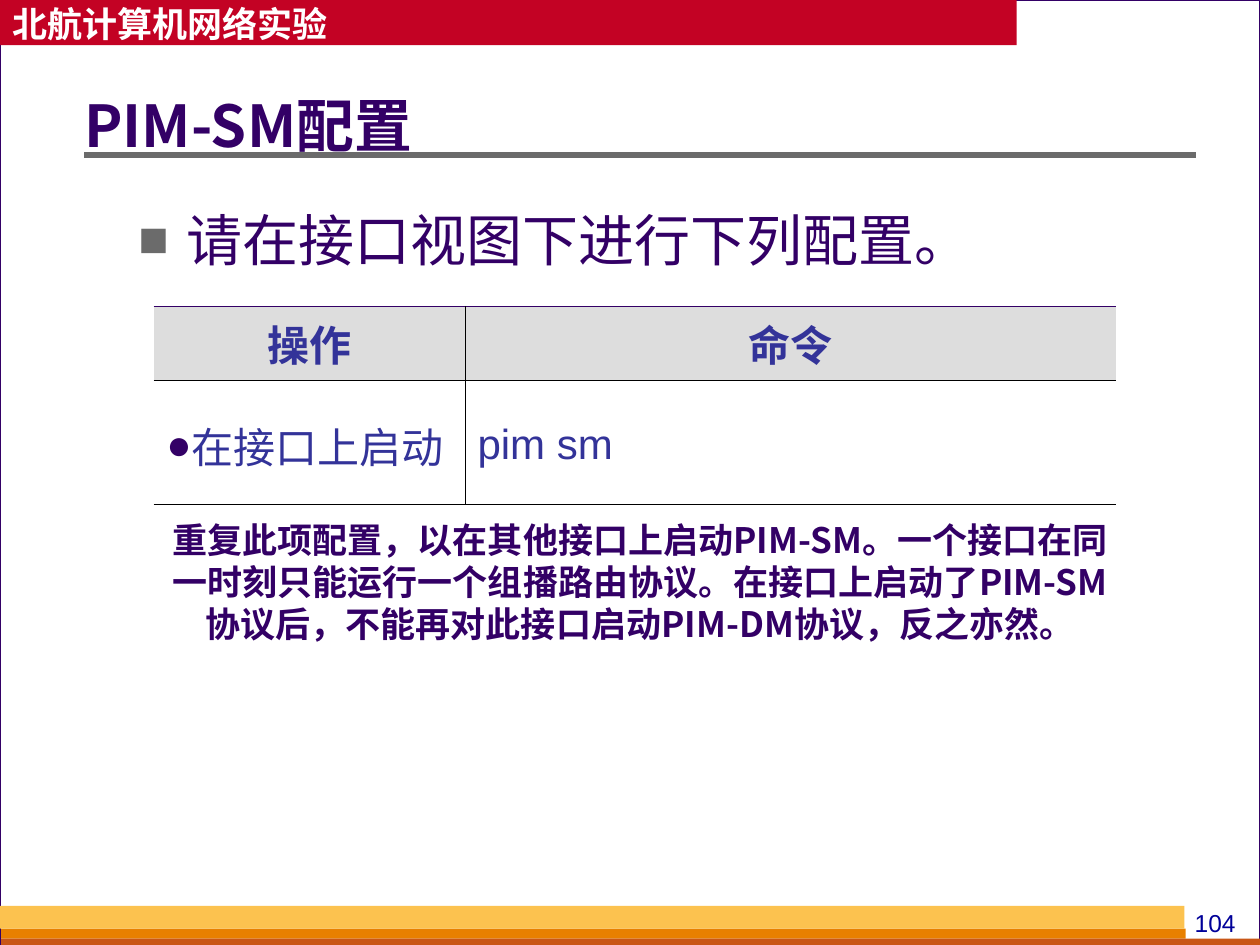
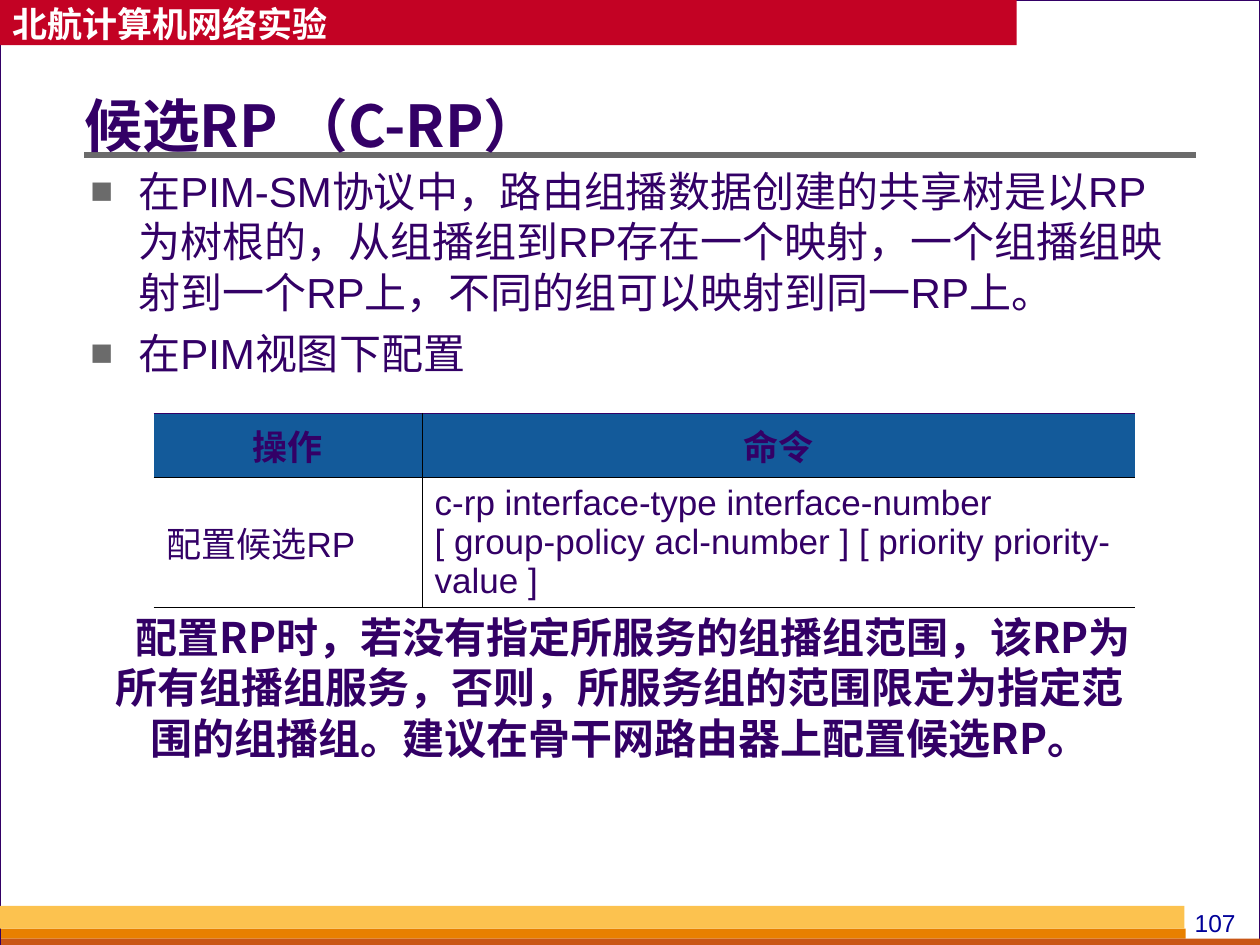
from dataclasses import dataclass

from lxml.etree import SubElement
from pptx import Presentation
from pptx.dml.color import RGBColor
from pptx.enum.shapes import MSO_CONNECTOR, MSO_SHAPE
from pptx.enum.text import MSO_ANCHOR, MSO_AUTO_SIZE, PP_ALIGN
from pptx.oxml.ns import qn
from pptx.util import Emu, Inches, Pt

# Shared look
HEX = {
    "ink": "330066", "white": "FFFFFF", "back": "D8DADA", "red": "C30224",
    "orange": "E88000", "rust": "C95616", "gold": "FCC24F", "gray": "6B6B6B",
    "page": "000099", "blue": "333399", "pale": "DDDDDD", "deep": "135A9A",
    "black": "000000",
}
LATIN, HAN = "Arial", "Noto Sans CJK SC"
COLS, ROWS = 100, 75  # slide grid
WIDE, HIGH = Inches(10), Inches(7.5)
PITCH = 1.2  # line height per point of type
DROP = 0.1   # baseline drop per point of type


@dataclass
class Box:
    col: float
    row: float
    wide: float
    high: float

    def place(self) -> tuple:
        return (across(self.col), down(self.row),
                across(self.wide), down(self.high))

    def lower(self, size: float) -> "Box":
        """Drop the box by the share of the type size that centres its text."""
        step = Pt(size * DROP) / HIGH * ROWS
        return Box(self.col, self.row + step, self.wide, self.high)


@dataclass
class Type:
    size: float
    color: str = "ink"
    font: str = LATIN
    bold: bool = False


@dataclass
class Mark:
    char: str
    color: str
    share: int = 100
    hang: float = 0


@dataclass
class Grid:
    box: Box
    split: list[float]
    rows: list[float]
    cells: list[list[str]]
    head: Type
    fill: str
    space: float = 1.0
    mark: Mark | None = None


@dataclass
class Page:
    title: str
    number: str
    points: list[str]
    area: Box
    size: float
    gap: float
    grid: Grid
    note: str
    foot: Box
    bold: float
    indent: float = 0


@dataclass
class Band:
    box: Box
    color: str


FRAME = Band(Box(0, 0, 100, 75), "white")
HEAD = Band(Box(0, 0, 80.7, 3.6), "red")
FEET = [
    Band(Box(0.1, 73.7, 94, 0.8), "orange"),
    Band(Box(0.1, 74.5, 99.9, 0.5), "rust"),
    Band(Box(0, 71.9, 94, 1.8), "gold"),
]
SQUARE = Mark("■", "gray", 90, 0.38)
DOT = Mark("●", "ink")


def across(cols: float) -> Emu:
    return Emu(round(WIDE * cols / COLS))


def down(rows: float) -> Emu:
    return Emu(round(HIGH * rows / ROWS))


def tint(name: str) -> RGBColor:
    return RGBColor.from_string(HEX[name])


# Text
def write(para, text: str, kind: Type, align=PP_ALIGN.LEFT) -> None:
    para.alignment = align
    run = para.add_run()
    run.text = text
    font = run.font
    font.size, font.bold, font.name = Pt(kind.size), kind.bold, kind.font
    font.color.rgb = tint(kind.color)
    SubElement(run._r.get_or_add_rPr(), qn("a:ea"), typeface=HAN)


def bullet(para, mark: Mark) -> None:
    props = para._p.get_or_add_pPr()
    hang = Inches(mark.hang)
    props.set("marL", str(hang))
    props.set("indent", str(-hang))
    color = SubElement(props, qn("a:buClr"))
    SubElement(color, qn("a:srgbClr"), val=HEX[mark.color])
    SubElement(props, qn("a:buSzPct"), val=str(mark.share * 1000))
    SubElement(props, qn("a:buFont"), typeface=LATIN)
    SubElement(props, qn("a:buChar"), char=mark.char)


def setup(frame, anchor=MSO_ANCHOR.TOP, left: float = 0.1,
          top: float = 0.05, base: float = 0.05):
    frame.word_wrap = True
    frame.auto_size = MSO_AUTO_SIZE.NONE
    frame.vertical_anchor = anchor
    frame.margin_left, frame.margin_right = Inches(left), Inches(0.1)
    frame.margin_top, frame.margin_bottom = Inches(top), Inches(base)
    return frame


# Shared parts of every slide
def draw(slide, band: Band, line: str = ""):
    shape = slide.shapes.add_shape(MSO_SHAPE.RECTANGLE, *band.box.place())
    shape.shadow.inherit = False
    shape.fill.solid()
    shape.fill.fore_color.rgb = tint(band.color)
    if line:
        shape.line.color.rgb = tint(line)
        shape.line.width = Pt(0.75)
    else:
        shape.line.fill.background()
    return shape


def base(slide, number: str) -> None:
    slide.background.fill.solid()
    slide.background.fill.fore_color.rgb = tint("back")
    draw(slide, FRAME, "ink")
    head = draw(slide, HEAD)
    frame = setup(head.text_frame, MSO_ANCHOR.MIDDLE, top=0.02, base=0)
    para = frame.paragraphs[0]
    para.line_spacing = Pt(20 * PITCH)
    write(para, "北航计算机网络实验", Type(20, "white", HAN, True))
    for band in FEET:
        draw(slide, band)
    spot = slide.shapes.add_textbox(*Box(93.3, 71.6, 6.3, 3.4).place())
    write(setup(spot.text_frame).paragraphs[0], number,
          Type(14, "page"), PP_ALIGN.CENTER)
    rule = slide.shapes.add_connector(
        MSO_CONNECTOR.STRAIGHT, across(6.7), down(12.3),
        across(94.9), down(12.3))
    rule.line.color.rgb = tint("gray")
    rule.line.width = Pt(3)
    SubElement(rule._element.spPr, qn("a:effectLst"))


def name(slide, text: str) -> None:
    kind = Type(33, font=HAN, bold=True)
    title = slide.shapes.title
    slide.shapes._spTree.append(title._element)  # bring above the frame
    box = Box(6.7, 4.6, 88.2, 10.1).lower(kind.size)
    title.left, title.top, title.width, title.height = box.place()
    para = setup(title.text_frame, MSO_ANCHOR.MIDDLE, left=0).paragraphs[0]
    para.line_spacing = Pt(round(kind.size * PITCH * 0.9))
    write(para, text, kind)


# Slide content
def points(slide, page: Page) -> None:
    box = page.area.lower(page.size)
    frame = setup(slide.shapes.add_textbox(*box.place()).text_frame)
    for i, text in enumerate(page.points):
        para = frame.add_paragraph() if i else frame.paragraphs[0]
        bullet(para, SQUARE)
        para.line_spacing = Pt(page.size * PITCH)
        if i:
            para.space_before = Pt(page.gap)
        write(para, text, Type(page.size))


def edges(cell, sides: dict[str, str]) -> None:
    props = cell._tc.get_or_add_tcPr()
    for i, side in enumerate("LRTB"):
        line = SubElement(props, qn(f"a:ln{side}"), w=str(Pt(0.45)))
        props.insert(i, line)
        if side in sides:
            fill = SubElement(line, qn("a:solidFill"))
            SubElement(fill, qn("a:srgbClr"), val=HEX[sides[side]])
        else:
            SubElement(line, qn("a:noFill"))


def table(slide, grid: Grid) -> None:
    body = Type(grid.head.size, grid.head.color)
    made = slide.shapes.add_table(2, 2, *grid.box.place()).table
    made.first_row = made.horz_banding = False
    for i, wide in enumerate(grid.split):
        made.columns[i].width = across(wide)
    for r, texts in enumerate(grid.cells):
        made.rows[r].height = down(grid.rows[r])
        for c, text in enumerate(texts):
            cell = made.cell(r, c)
            cell.vertical_anchor = MSO_ANCHOR.MIDDLE
            cell.margin_left = cell.margin_right = Inches(0.1)
            cell.margin_top = cell.margin_bottom = Inches(0.05)
            para = cell.text_frame.paragraphs[0]
            if r:
                cell.fill.background()
                if grid.mark and c == 0:
                    bullet(para, grid.mark)
                para.line_spacing = grid.space
                write(para, text, body)
            else:
                cell.fill.solid()
                cell.fill.fore_color.rgb = tint(grid.fill)
                write(para, text, grid.head, PP_ALIGN.CENTER)
            edges(cell, {"L" if c else "R": "black",
                         "T": "black" if r else "ink", "B": "black"})


def note(slide, page: Page) -> None:
    spot = slide.shapes.add_textbox(*page.foot.lower(page.bold).place())
    para = setup(spot.text_frame, MSO_ANCHOR.MIDDLE).paragraphs[0]
    para.line_spacing = Pt(page.bold * PITCH)
    if page.indent:
        para._p.get_or_add_pPr().set("indent", str(Inches(page.indent)))
    write(para, page.note, Type(page.bold, font=HAN, bold=True),
          PP_ALIGN.CENTER)


PAGES = [
    Page("PIM-SM配置", "104", ["请在接口视图下进行下列配置。"],
         Box(10, 15.4, 80.8, 6.3), 32, 8,
         Grid(Box(12.2, 24.3, 76.4, 15.7), [24.7, 51.7], [5.9, 9.8],
              [["操作", "命令"], ["在接口上启动", "pim sm"]],
              Type(24, "blue", bold=True), "pale", 1.1, DOT),
         "重复此项配置，以在其他接口上启动PIM-SM。一个接口在同一时刻只能运行"
         "一个组播路由协议。在接口上启动了PIM-SM协议后，不能再对此接口启动"
         "PIM-DM协议，反之亦然。",
         Box(11.4, 40.4, 78.8, 11), 20),
    Page("候选RP （C-RP）", "107",
         ["在PIM-SM协议中，路由组播数据创建的共享树是以RP为树根的，从组播组到"
          "RP存在一个映射，一个组播组映射到一个RP上，不同的组可以映射到同一"
          "RP上。",
          "在PIM视图下配置"],
         Box(6.2, 12.3, 88.3, 22.1), 24, 6,
         Grid(Box(12.2, 32.8, 77.9, 12.7), [21.3, 56.6], [5.1, 7.6],
              [["操作", "命令"],
               ["配置候选RP",
                "c-rp interface-type interface-number [ group-policy "
                "acl-number ] [ priority priority-value ]"]],
              Type(20, bold=True), "deep"),
         "配置RP时，若没有指定所服务的组播组范围，该RP为所有组播组服务，否则，"
         "所服务组的范围限定为指定范围的组播组。建议在骨干网路由器上配置候选"
         "RP。",
         Box(7, 47.7, 84.4, 13), 24, 0.21),
]


def main() -> None:
    deck = Presentation()
    deck.slide_width, deck.slide_height = WIDE, HIGH
    for page in PAGES:
        slide = deck.slides.add_slide(deck.slide_layouts[5])
        base(slide, page.number)
        name(slide, page.title)
        points(slide, page)
        table(slide, page.grid)
        note(slide, page)
    deck.save("out.pptx")


if __name__ == "__main__":
    main()
